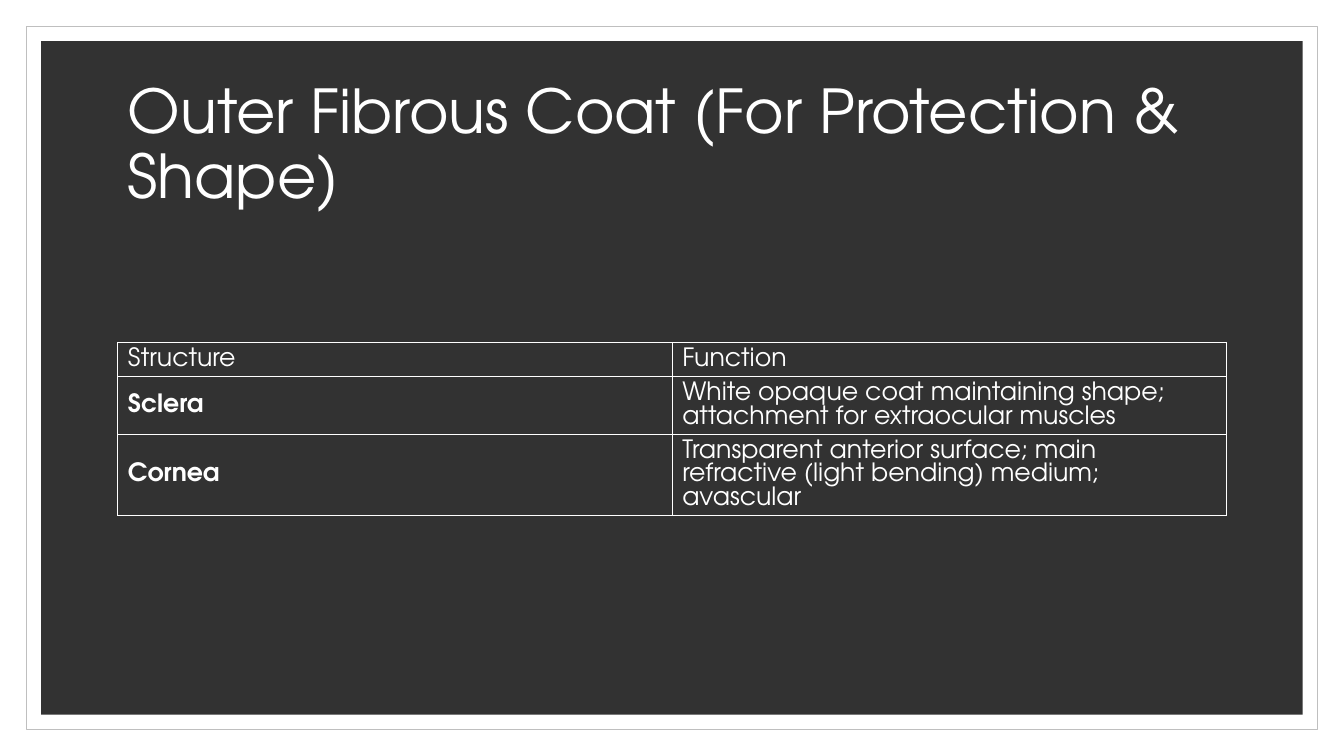
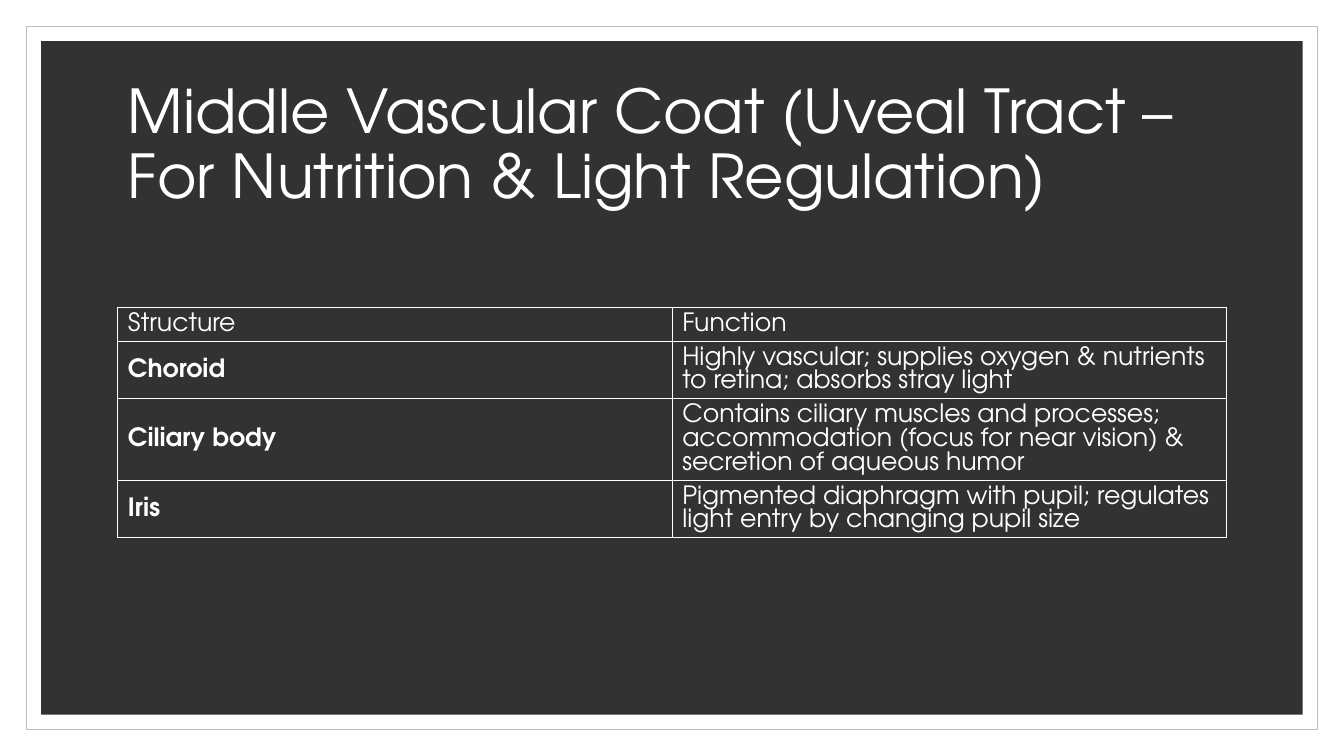
from lxml import etree
from pptx import Presentation
from pptx.dml.color import RGBColor
from pptx.enum.shapes import MSO_SHAPE
from pptx.enum.text import MSO_ANCHOR
from pptx.oxml.ns import qn
from pptx.util import Cm, Pt

RECTANGLE = MSO_SHAPE.RECTANGLE
MIDDLE = MSO_ANCHOR.MIDDLE

WHITE = RGBColor(0xFF, 0xFF, 0xFF)
CHARCOAL = RGBColor(0x32, 0x32, 0x32)
SILVER = RGBColor(0xBF, 0xBF, 0xBF)
FONT = "TeX Gyre Adventor"

SLIDE_WIDTH, SLIDE_HEIGHT = Cm(33.87), Cm(19.05)
CONTENT_LEFT, CONTENT_WIDTH = Cm(2.97), Cm(27.94)
CELL_PADDING, LINE_HEIGHT = Cm(0.25), Cm(0.6)

# Frame layers: inset from the slide edge, fill, outline
FRAME_LAYERS = [
    (Cm(0.66), WHITE, SILVER),
    (Cm(1.04), CHARCOAL, None),
]

# Title, table top, and rows of structure, function and number of text lines
SLIDES = [
    ("Outer Fibrous Coat (For Protection & Shape)", Cm(8.64), [
        ("Structure", "Function", 1),
        ("Sclera", "White opaque coat maintaining shape; "
                   "attachment for extraocular muscles", 2),
        ("Cornea", "Transparent anterior surface; main refractive "
                   "(light bending) medium; avascular", 3),
    ]),
    ("Middle Vascular Coat (Uveal Tract – For Nutrition & Light Regulation)", Cm(7.75), [
        ("Structure", "Function", 1),
        ("Choroid", "Highly vascular; supplies oxygen & nutrients to retina; "
                    "absorbs stray light", 2),
        ("Ciliary body", "Contains ciliary muscles and processes; accommodation "
                         "(focus for near vision) & secretion of aqueous humor", 3),
        ("Iris", "Pigmented diaphragm with pupil; regulates light entry "
                 "by changing pupil size", 2),
    ]),
]


def style_text(frame, size, line_spacing, bold=False):
    paragraph = frame.paragraphs[0]
    paragraph.line_spacing = line_spacing
    font = paragraph.runs[0].font
    font.name = FONT
    font.size = size
    font.bold = bold
    font.color.rgb = WHITE


def add_borders(cell):
    """Draw a thin white line on all four sides of a table cell."""
    properties = cell._tc.get_or_add_tcPr()
    for side in ("a:lnL", "a:lnR", "a:lnT", "a:lnB"):
        line = etree.SubElement(properties, qn(side), w=str(Pt(1)))
        fill = etree.SubElement(line, qn("a:solidFill"))
        etree.SubElement(fill, qn("a:srgbClr"), val=str(WHITE))


deck = Presentation()
deck.slide_width, deck.slide_height = SLIDE_WIDTH, SLIDE_HEIGHT
blank_layout = deck.slide_layouts[6]

for title, table_top, rows in SLIDES:
    page = deck.slides.add_slide(blank_layout)

    for inset, fill_color, line_color in FRAME_LAYERS:
        panel = page.shapes.add_shape(RECTANGLE, inset, inset,
                                      SLIDE_WIDTH - 2 * inset, SLIDE_HEIGHT - 2 * inset)
        panel.shadow.inherit = False
        panel.fill.solid()
        panel.fill.fore_color.rgb = fill_color
        if line_color is None:
            panel.line.fill.background()
        else:
            panel.line.color.rgb = line_color
            panel.line.width = Pt(0.5)

    title_box = page.shapes.add_textbox(CONTENT_LEFT, Cm(1.78), CONTENT_WIDTH, Cm(3.81))
    title_frame = title_box.text_frame
    title_frame.word_wrap = True
    title_frame.vertical_anchor = MIDDLE
    title_frame.text = title
    style_text(title_frame, Pt(43.2), 0.9)

    heights = [CELL_PADDING + lines * LINE_HEIGHT for *_, lines in rows]
    table = page.shapes.add_table(len(rows), 2, CONTENT_LEFT, table_top,
                                  CONTENT_WIDTH, sum(heights)).table
    table.first_row = False
    table.horz_banding = False
    for row_index, (structure, function, _) in enumerate(rows):
        table.rows[row_index].height = heights[row_index]
        for column_index, text in enumerate((structure, function)):
            cell = table.cell(row_index, column_index)
            add_borders(cell)
            cell.fill.background()
            cell.vertical_anchor = MIDDLE
            cell.text_frame.text = text
            style_text(cell.text_frame, Pt(18), Pt(16.9),
                       bold=row_index > 0 and column_index == 0)

deck.save("out.pptx")
